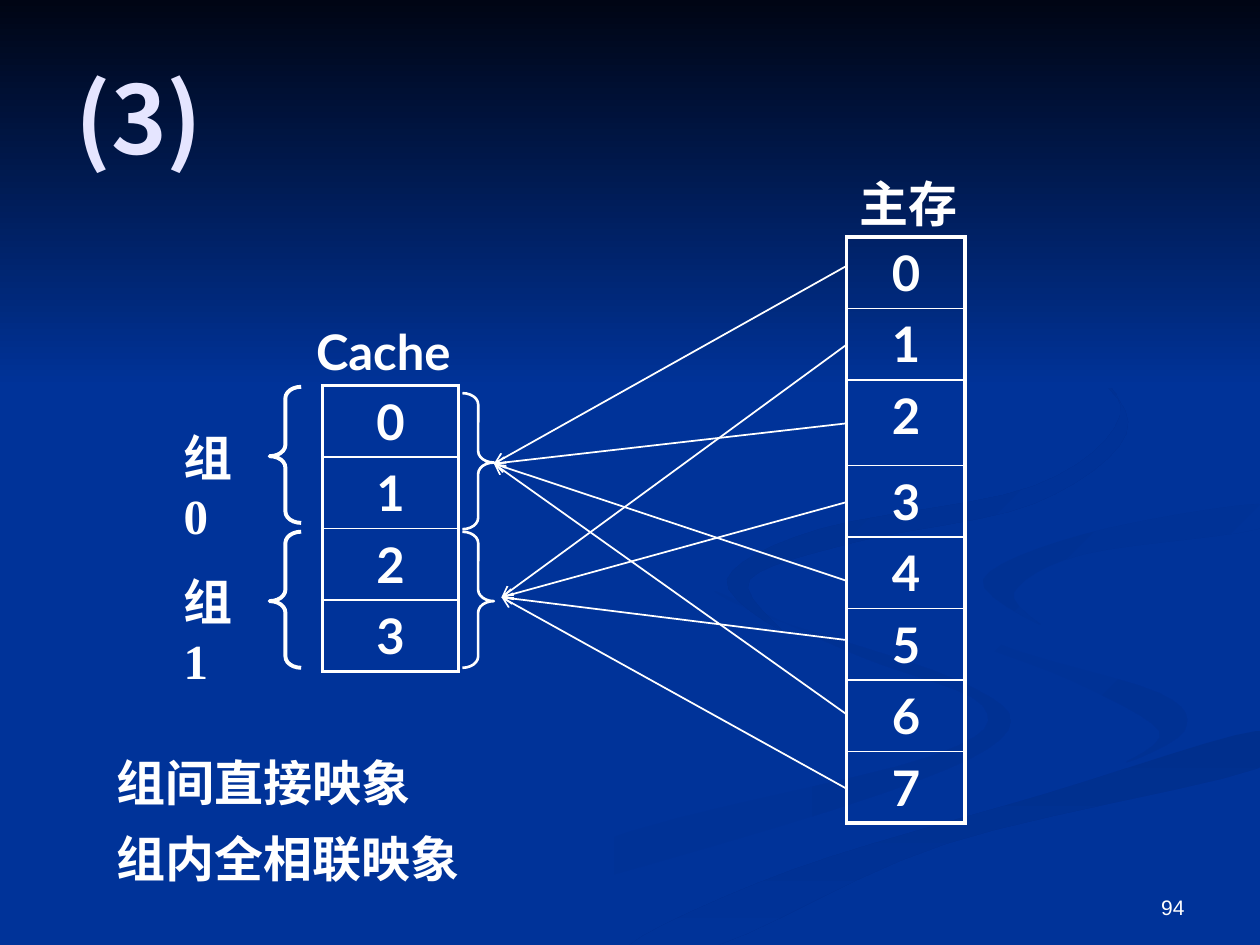
from typing import NamedTuple

from lxml.etree import SubElement
from pptx import Presentation
from pptx.dml.color import RGBColor
from pptx.enum.shapes import MSO_CONNECTOR, MSO_SHAPE
from pptx.enum.text import MSO_ANCHOR, PP_ALIGN
from pptx.oxml.ns import qn
from pptx.util import Emu, Inches, Pt

WHITE = RGBColor(0xFF, 0xFF, 0xFF)
LAVENDER = RGBColor(0xE5, 0xE5, 0xFF)
BLUE = RGBColor(0x00, 0x33, 0x99)
DEEP_BLUE = RGBColor(0x00, 0x2F, 0x8D)
SOFT_BLUE = RGBColor(0x00, 0x31, 0x93)
NIGHT = RGBColor(0x00, 0x05, 0x14)

# The slide is a grid of 100 columns by 75 rows
presentation = Presentation()
presentation.slide_width, presentation.slide_height = Inches(10), Inches(7.5)
COLUMN = presentation.slide_width / 100
ROW = presentation.slide_height / 75
slide = presentation.slides.add_slide(presentation.slide_layouts[6])


class Box(NamedTuple):
    left: float
    top: float
    width: float
    height: float

    def place(self) -> tuple:
        return (Emu(round(self.left * COLUMN)), Emu(round(self.top * ROW)),
                Emu(round(self.width * COLUMN)), Emu(round(self.height * ROW)))


class Ribbon(NamedTuple):
    start: RGBColor
    end: RGBColor
    angle: int
    points: list


class Label(NamedTuple):
    box: Box
    lines: list
    font: str = "Times New Roman"
    size: int = 28
    bold: bool = True
    color: RGBColor = WHITE
    align: PP_ALIGN = PP_ALIGN.LEFT
    anchor: MSO_ANCHOR = MSO_ANCHOR.TOP
    wrap: bool = True


class Memory(NamedTuple):
    box: Box
    row_heights: list


class Brace(NamedTuple):
    shape_type: MSO_SHAPE
    box: Box
    weight: float


def write(paragraph, text: str, font: str, size: int, bold: bool, color: RGBColor) -> None:
    run = paragraph.add_run()
    run.text = text
    for name, value in {"name": font, "size": Pt(size), "bold": bold}.items():
        setattr(run.font, name, value)
    run.font.color.rgb = color
    SubElement(run.font._element, qn("a:ea"), typeface="Noto Sans CJK SC")


def fade(shape, start: RGBColor, end: RGBColor, angle: int) -> None:
    shape.shadow.inherit = False
    shape.line.fill.background()
    shape.fill.gradient()
    shape.fill.gradient_angle = 360 - angle
    for stop, color in zip(shape.fill.gradient_stops, (start, end)):
        stop.color.rgb = color


def smooth(points: list, steps: int = 6) -> list:
    """Round a closed outline with a Catmull-Rom curve."""
    curve = []
    for index in range(len(points)):
        corners = [points[(index + shift) % len(points)] for shift in (-1, 0, 1, 2)]
        for step in range(steps):
            t = step / steps
            curve.append(tuple(
                b + t * (c - a + t * (2 * a - 5 * b + 4 * c - d
                                      + t * (3 * (b - c) + d - a))) / 2
                for a, b, c, d in zip(*corners)))
    return curve


def draw_ribbon(ribbon: Ribbon) -> None:
    points = [(round(x * COLUMN), round(y * ROW)) for x, y in smooth(ribbon.points)]
    builder = slide.shapes.build_freeform(*points[0])
    builder.add_line_segments(points[1:], close=True)
    fade(builder.convert_to_shape(), ribbon.start, ribbon.end, ribbon.angle)


def draw_label(label: Label) -> None:
    frame = slide.shapes.add_textbox(*label.box.place()).text_frame
    frame.word_wrap = label.wrap
    frame.vertical_anchor = label.anchor
    for index, line in enumerate(label.lines):
        paragraph = frame.add_paragraph() if index else frame.paragraphs[0]
        paragraph.alignment = label.align
        paragraph.space_before = Pt(10 if index else 0)
        write(paragraph, line, label.font, label.size, label.bold, label.color)


def add_borders(cell, weights: dict) -> None:
    properties = cell._tc.get_or_add_tcPr()
    for index, (side, weight) in enumerate(weights.items()):
        line = SubElement(properties, qn(f"a:ln{side}"), w=str(Pt(weight)))
        fill = SubElement(line, qn("a:solidFill"))
        SubElement(fill, qn("a:srgbClr"), val=str(WHITE))
        properties.insert(index, line)


def draw_memory(memory: Memory) -> None:
    count = len(memory.row_heights)
    table = slide.shapes.add_table(count, 1, *memory.box.place()).table
    table.first_row = table.horz_banding = False
    for index, height in enumerate(memory.row_heights):
        table.rows[index].height = Emu(round(height * ROW))
        cell = table.cell(index, 0)
        cell.fill.background()
        paragraph = cell.text_frame.paragraphs[0]
        paragraph.alignment = PP_ALIGN.CENTER
        write(paragraph, str(index), "Lato", 28, True, WHITE)
        add_borders(cell, {"L": 2.25, "R": 2.25, "T": 1 if index else 2.25,
                           "B": 1 if index < count - 1 else 2.25})


def draw_brace(brace: Brace) -> None:
    shape = slide.shapes.add_shape(brace.shape_type, *brace.box.place())
    shape.shadow.inherit = False
    shape.fill.background()
    shape.line.color.rgb, shape.line.width = WHITE, Pt(brace.weight)
    shape.adjustments[0], shape.adjustments[1] = 0.36, 0.51


def draw_arrow(start: tuple, end: tuple) -> None:
    ends = [Emu(round(value)) for x, y in (start, end) for value in (x * COLUMN, y * ROW)]
    connector = slide.shapes.add_connector(MSO_CONNECTOR.STRAIGHT, *ends)
    connector.line.color.rgb, connector.line.width = WHITE, Pt(1)
    SubElement(connector.line._get_or_add_ln(), qn("a:tailEnd"), type="arrow")
    SubElement(connector._element.spPr, qn("a:effectLst"))


# Background: plain blue, faint ribbons, and a dark fade along the top
slide.background.fill.solid()
slide.background.fill.fore_color.rgb = BLUE
ribbons = [
    Ribbon(BLUE, SOFT_BLUE, 0, [
        (57, 47), (68, 52), (78, 56), (74, 60), (50, 66), (33, 73),
        (43, 71), (70, 63), (80, 58), (76, 54), (61, 49)]),
    Ribbon(BLUE, SOFT_BLUE, 45, [
        (72.4, 46.4), (79, 51), (92, 55), (94, 58), (89.4, 60.5), (92, 58), (85, 54), (75, 50)]),
    Ribbon(DEEP_BLUE, BLUE, 90, [
        (50, 75), (63, 69), (83, 63), (99.8, 58), (99.8, 61), (75, 67), (57, 75)]),
    Ribbon(SOFT_BLUE, BLUE, 45, [
        (78, 46), (82.6, 49.6), (80.5, 47), (86, 44), (99.8, 42), (99.8, 40), (86, 42.4)]),
    Ribbon(DEEP_BLUE, BLUE, 45, [
        (68, 43), (82, 40), (89.4, 34.4), (86, 29), (76, 23), (85, 28),
        (88.9, 33), (82, 38.6), (65, 42), (57.7, 46), (62, 50), (59.5, 46)]),
]
for ribbon in ribbons:
    draw_ribbon(ribbon)
top_fade = slide.shapes.add_shape(MSO_SHAPE.RECTANGLE, *Box(0, 0, 100, 30.8).place())
fade(top_fade, NIGHT, BLUE, 90)

# Cache and main memory blocks
BLOCK = 5.67
MEMORY_LEFT = 67.2
for memory in (Memory(Box(25.6, 30.6, 10.8, 4 * BLOCK), [BLOCK] * 4),
               Memory(Box(MEMORY_LEFT, 18.8, 9.4, 46.5),
                      [BLOCK] * 2 + [6.8] + [BLOCK] * 5)):
    draw_memory(memory)

# Braces and names of the two cache groups
for group in range(2):
    offset = group * 11.5
    draw_brace(Brace(MSO_SHAPE.LEFT_BRACE, Box(21.4, 30.7 + offset, 2.5, 10.8), 2.25))
    draw_brace(Brace(MSO_SHAPE.RIGHT_BRACE, Box(36.7, 31.2 + group * 11, 2.5, 10.8), 1.5))
    draw_label(Label(Box(13.6, 33.4 + offset, 7.5, 5.7), [f"组{group}"]))

# Title, captions and slide number
labels = [
    Label(Box(5, 3, 90, 12.5), ["(3)"], "Noto Sans CJK SC", 54, color=LAVENDER,
          anchor=MSO_ANCHOR.MIDDLE),
    Label(Box(8.3, 59.2, 35.6, 12.7), ["组间直接映象", "组内全相联映象"]),
    Label(Box(24.1, 25, 13.8, 5.7), ["Cache"], "Lato", wrap=False),
    Label(Box(MEMORY_LEFT, 13.3, 9.8, 5.7), ["主存"], "Lato", wrap=False),
    Label(Box(71.7, 68.3, 23.3, 5.2), ["94"], "Arial", 12, False,
          align=PP_ALIGN.RIGHT, anchor=MSO_ANCHOR.BOTTOM),
]
for label in labels:
    draw_label(label)

# Memory blocks map to the cache groups in turn
group_tips = [(39.2, 36.8), (39.8, 47.4)]
for block in range(8):
    height = 21.1 + 6.25 * block if block < 5 else 50.8 + 5.9 * (block - 5)
    draw_arrow((MEMORY_LEFT, height), group_tips[block % 2])

presentation.save("out.pptx")
